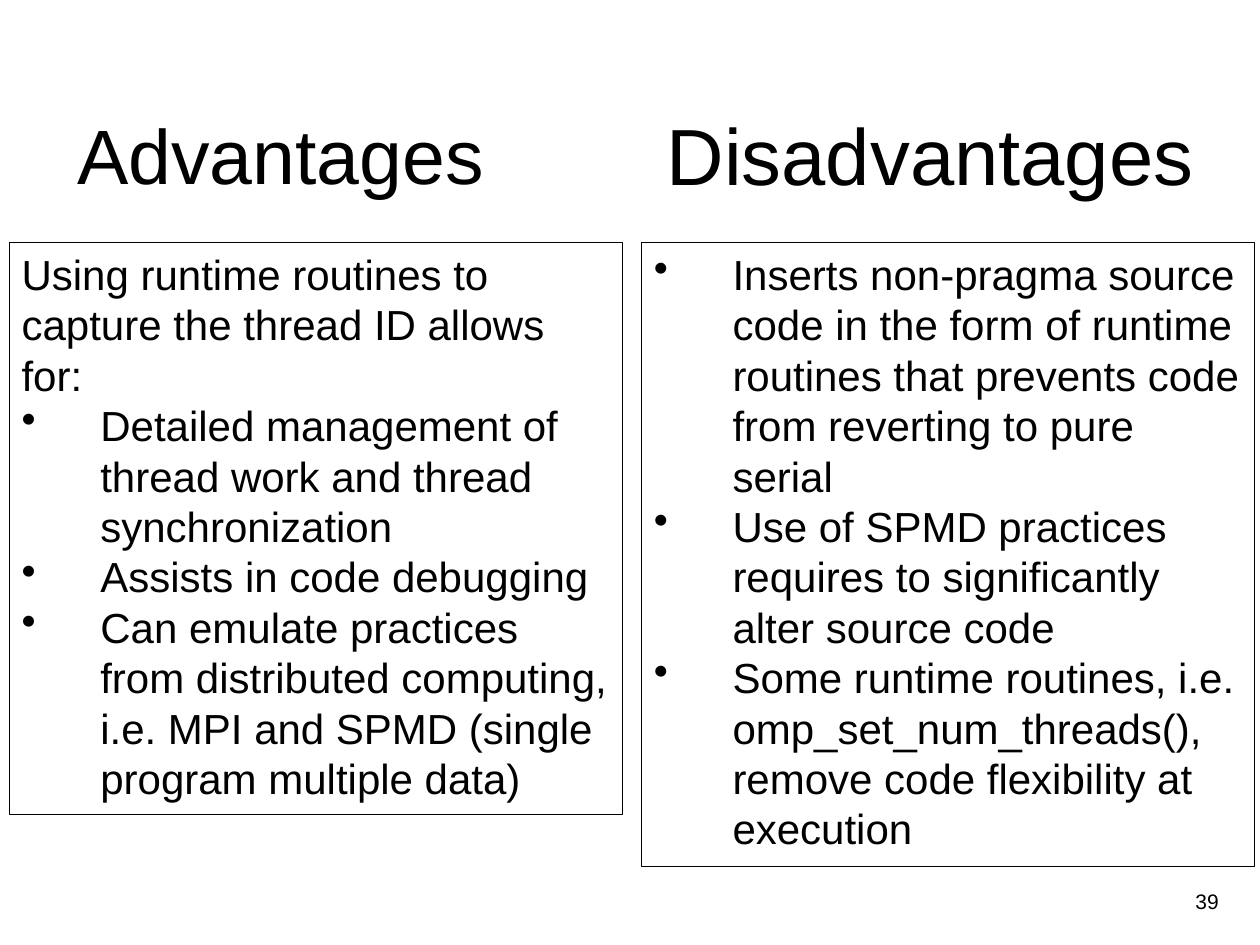
from pptx import Presentation
from pptx.dml.color import RGBColor
from pptx.enum import shapes, text
from pptx.util import Pt
from lxml import etree

BLACK = RGBColor(0, 0, 0)
FONT = "Arial"
INDENT = Pt(45)

LEFT_POINTS = [
    "Detailed management of thread work and thread synchronization",
    "Assists in code debugging",
    "Can emulate practices from distributed computing, "
    "i.e. MPI and SPMD (single program multiple data)",
]
RIGHT_POINTS = [
    "Inserts non-pragma source code in the form of runtime routines "
    "that prevents code from reverting to pure serial",
    "Use of SPMD practices requires to significantly alter source code",
    "Some runtime routines, i.e. omp_set_num_threads(), "
    "remove code flexibility at execution",
]


def style(p, size, align):
    p.alignment = align
    p.font.size = Pt(size)
    p.font.name = FONT
    p.font.color.rgb = BLACK


def add_bullet(p):
    pPr = p._p.get_or_add_pPr()
    pPr.set("marL", str(INDENT))
    pPr.set("indent", str(-INDENT))
    ns = pPr.nsmap["a"]
    bullet = etree.Element(f"{{{ns}}}buChar", char="•")
    pPr.insert(0, bullet)


def add_label(s, box, label, size, align):
    """One line of text, centred vertically in its box."""
    tf = s.shapes.add_textbox(*map(Pt, box)).text_frame
    tf.word_wrap = True
    tf.vertical_anchor = text.MSO_ANCHOR.MIDDLE
    p = tf.paragraphs[0]
    p.text = label
    style(p, size, align)


def add_panel(s, box, points, intro=None):
    """Outlined box with an optional lead-in and a bulleted list."""
    sp = s.shapes.add_shape(shapes.MSO_SHAPE.RECTANGLE, *map(Pt, box))
    sp.shadow.inherit = False
    sp.fill.background()
    sp.line.color.rgb = BLACK
    sp.line.width = Pt(0.75)
    tf = sp.text_frame
    tf.word_wrap = True
    tf.auto_size = text.MSO_AUTO_SIZE.SHAPE_TO_FIT_TEXT
    tf.vertical_anchor = text.MSO_ANCHOR.TOP
    lines = [intro] * bool(intro) + points
    for i, line in enumerate(lines):
        p = tf.add_paragraph() if i else tf.paragraphs[0]
        p.text = line
        style(p, 24, text.PP_ALIGN.LEFT)
        if line != intro:
            add_bullet(p)


def main():
    prs = Presentation()
    prs.slide_width, prs.slide_height = Pt(720), Pt(540)
    s = prs.slides.add_slide(prs.slide_layouts[6])

    # Column headings
    center = text.PP_ALIGN.CENTER
    add_label(s, (21, 43, 279, 90), "Advantages", 44, center)
    add_label(s, (371, 43, 321, 90), "Disadvantages", 45.5, center)

    # Column panels
    add_panel(s, (5.25, 138.5, 350.5, 327), LEFT_POINTS,
              "Using runtime routines to capture the thread ID allows for:")
    add_panel(s, (366.5, 138.5, 350.5, 356.5), RIGHT_POINTS)

    # Slide number
    add_label(s, (656.5, 500.5, 47, 29), "39", 12, text.PP_ALIGN.RIGHT)

    prs.save("out.pptx")


if __name__ == "__main__":
    main()
